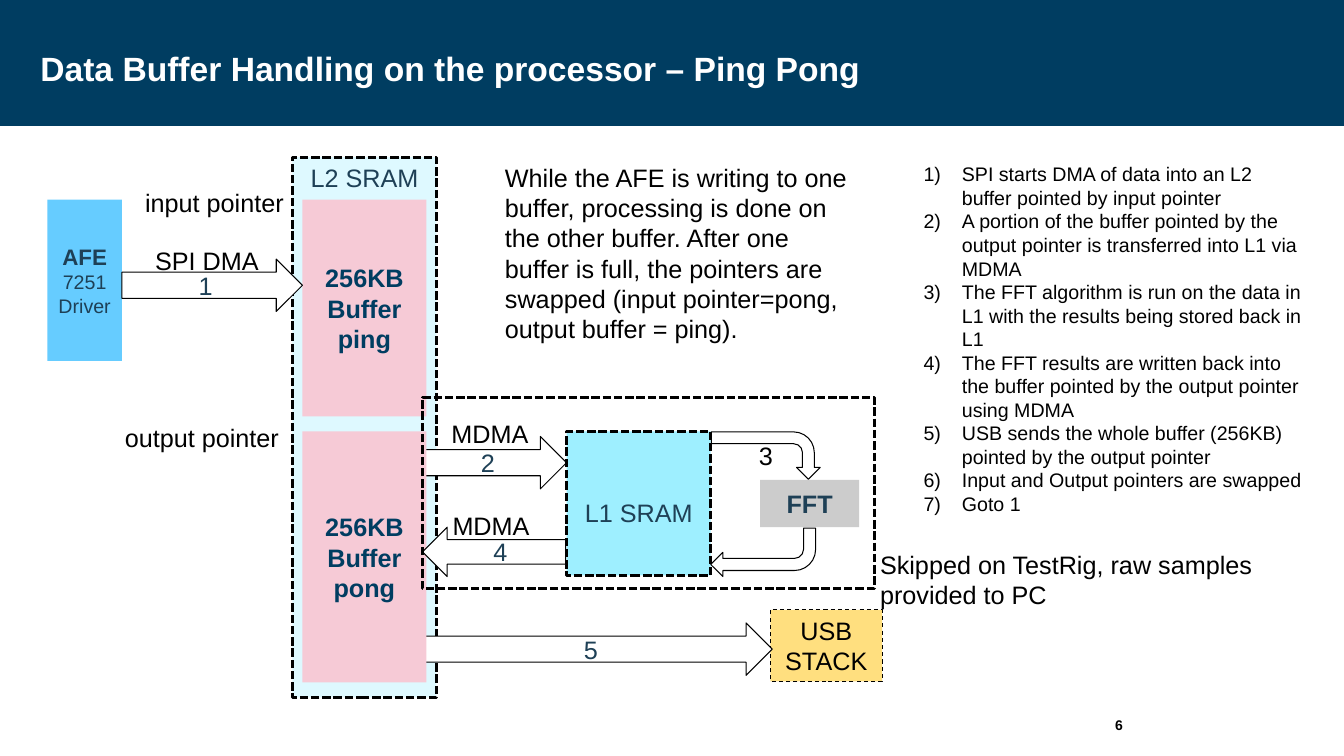
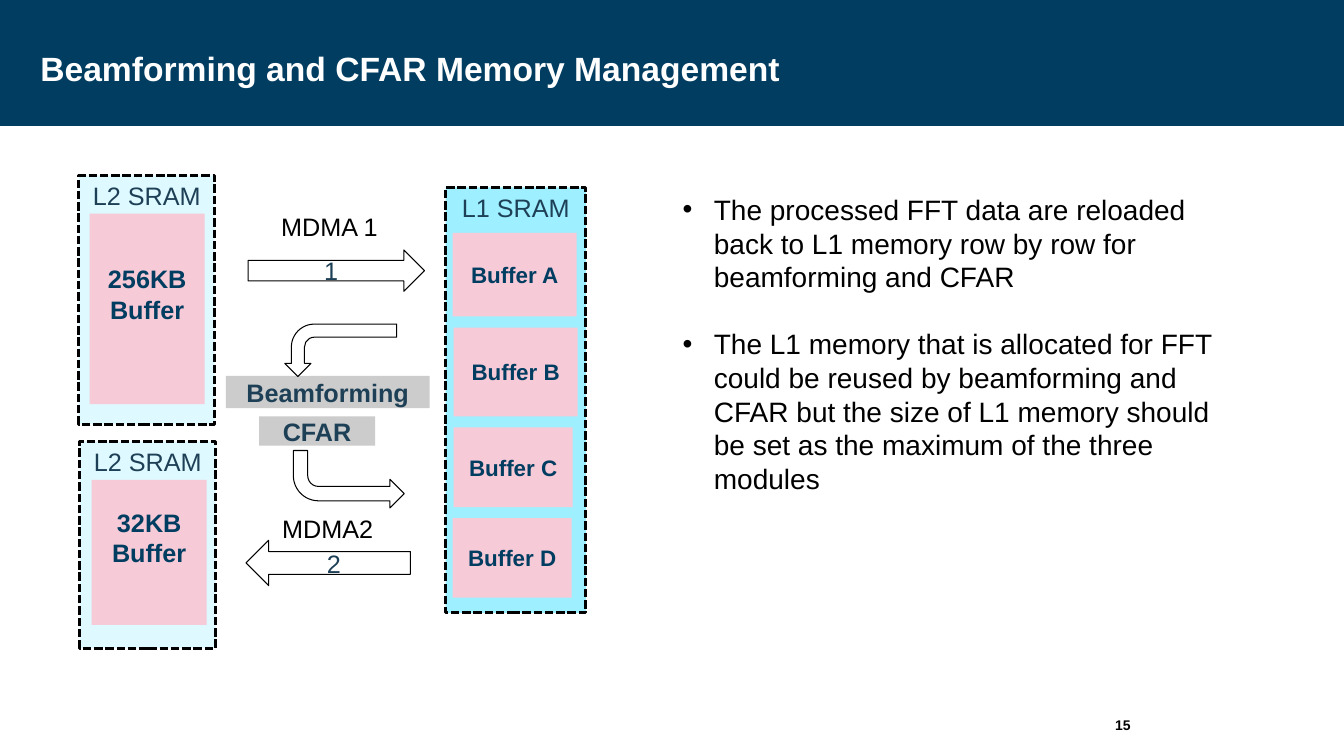
from dataclasses import dataclass

from lxml.etree import SubElement
from pptx import Presentation
from pptx.dml.color import RGBColor
from pptx.enum.dml import MSO_LINE
from pptx.enum.shapes import MSO_SHAPE
from pptx.enum.text import MSO_ANCHOR, MSO_AUTO_SIZE, PP_ALIGN
from pptx.oxml.ns import qn
from pptx.util import Inches, Pt

NAVY, SLATE, BLACK, WHITE = "003D61", "1E4056", "000000", "FFFFFF"
PINK, GREY, BLUE, GOLD = "F6CAD6", "CCCCCC", "66CCFF", "FFC000"
PALE, CYAN = "BFF5FF", "3EE0FF"

RECT, BENT = MSO_SHAPE.RECTANGLE, MSO_SHAPE.BENT_ARROW
RIGHT, LEFT = MSO_SHAPE.RIGHT_ARROW, MSO_SHAPE.LEFT_ARROW
TOP, MID, BASE = MSO_ANCHOR.TOP, MSO_ANCHOR.MIDDLE, MSO_ANCHOR.BOTTOM

Place = tuple[float, float, float, float]
PAD: Place = (0.1, 0.05, 0.1, 0.05)


@dataclass(frozen=True)
class Font:
    size: float = 18
    color: str = BLACK
    bold: bool = False


@dataclass(frozen=True)
class Edge:
    width: float
    dash: MSO_LINE | None = None


PLAIN, TAG = Font(), Font(color=SLATE)
STRONG, LABEL = Font(color=NAVY, bold=True), Font(color=SLATE, bold=True)
SMALL = Font(16, NAVY, True)
THIN, BROKEN = Edge(0.75), Edge(2, MSO_LINE.SQUARE_DOT)


@dataclass(frozen=True)
class Box:
    at: Place
    text: str = ""
    fill: str | None = None
    font: Font = PLAIN
    rest: Font | None = None  # font of the lines after the first
    kind: MSO_SHAPE = RECT
    edge: Edge | None = None
    anchor: MSO_ANCHOR = MID
    pad: Place = PAD
    clear: bool = False
    turn: int = 0
    flip: str = ""


@dataclass(frozen=True)
class Note:
    at: Place
    text: str


@dataclass(frozen=True)
class Items:
    at: Place
    lines: tuple[str, ...]
    size: float
    indent: float
    bullet: tuple[str, str, str]  # tag, attribute, value
    gap: float = 0


@dataclass(frozen=True)
class Page:
    title: str
    number: str
    items: Items
    blocks: tuple[Box | Note, ...]


def paint(fill, color: str, clear: bool = False) -> None:
    """Fill with a solid colour, half transparent if clear."""
    fill.solid()
    fill.fore_color.rgb = RGBColor.from_string(color)
    if clear:
        node = fill._xPr.find(qn("a:solidFill"))[0]
        SubElement(node, qn("a:alpha")).set("val", "50000")


def move(shape, at: Place) -> None:
    for name, value in zip(("left", "top", "width", "height"), at):
        setattr(shape, name, Inches(value))


def frame(shape, anchor: MSO_ANCHOR, pad: Place = PAD):
    text = shape.text_frame
    sides = dict(zip(("left", "top", "right", "bottom"), pad))
    values = {f"margin_{side}": Inches(size) for side, size in sides.items()}
    values |= {"word_wrap": True, "auto_size": MSO_AUTO_SIZE.NONE, "vertical_anchor": anchor}
    for name, value in values.items():
        setattr(text, name, value)
    return text


def write(text, lines: list[str], font: Font, align: PP_ALIGN, rest: Font | None = None) -> None:
    """Write one paragraph for each line."""
    for index, line in enumerate(lines):
        para = text.paragraphs[0] if index == 0 else text.add_paragraph()
        para.alignment = align
        style = rest if rest and index else font
        run = para.add_run()
        run.text = line
        values = {"name": "Arial", "size": Pt(style.size), "bold": style.bold}
        for name, value in values.items():
            setattr(run.font, name, value)
        paint(run.font.fill, style.color)


def draw(slide, box: Box) -> None:
    shape = slide.shapes.add_shape(box.kind, *map(Inches, box.at))
    shape.shadow.inherit = False
    shape.rotation = box.turn
    for axis in box.flip:
        shape._element.spPr.xfrm.set(f"flip{axis}", "1")
    if box.fill:
        paint(shape.fill, box.fill, box.clear)
    else:
        shape.fill.background()
    if box.edge:
        paint(shape.line.fill, BLACK)
        shape.line.width = Pt(box.edge.width)
        shape.line.dash_style = box.edge.dash
    else:
        shape.line.fill.background()
    if box.text:
        text = frame(shape, box.anchor, box.pad)
        write(text, box.text.split("\n"), box.font, PP_ALIGN.CENTER, box.rest)
        if box.turn:
            text._txBody.bodyPr.set("vert", "vert270")


def label(slide, at: Place, line: str, font: Font = PLAIN,
          anchor: MSO_ANCHOR = TOP, pad: Place = PAD) -> None:
    shape = slide.shapes.add_textbox(*map(Inches, at))
    write(frame(shape, anchor, pad), [line], font, PP_ALIGN.LEFT)


def enlist(shape, items: Items) -> None:
    """Fill the body placeholder with a bulleted or numbered list."""
    move(shape, items.at)
    text = frame(shape, TOP)
    write(text, list(items.lines), Font(items.size), PP_ALIGN.LEFT)
    tag, name, value = items.bullet
    for index, para in enumerate(text.paragraphs):
        para.space_before = Pt(items.gap if index else 0)
        para.space_after = Pt(0)
        props = para._p.get_or_add_pPr()
        props.set("marL", str(Inches(items.indent)))
        props.set("indent", str(-Inches(items.indent)))
        SubElement(props, qn("a:buFont")).set("typeface", "Arial")
        SubElement(props, qn(tag)).set(name, value)


def build(deck, page: Page) -> None:
    slide = deck.slides.add_slide(deck.slide_layouts[1])
    title, body = slide.placeholders
    move(title, (0, 0, 13.33, 1.25))
    paint(title.fill, NAVY)
    text = frame(title, MID, (0.4, 0.2, 0.4, 0.1))
    write(text, [page.title], Font(24, WHITE, True), PP_ALIGN.LEFT)
    enlist(body, page.items)
    for block in page.blocks:
        if isinstance(block, Box):
            draw(slide, block)
        else:
            label(slide, block.at, block.text)
    label(slide, (11.06, 6.92, 1.82, 0.36), page.number, Font(10, BLACK, True), BASE, (0, 0, 0, 0))


def arrow(at: Place, text: str = "", kind: MSO_SHAPE = RIGHT, turn: int = 0,
          flip: str = "", font: Font = TAG) -> Box:
    return Box(at, text, WHITE, font, kind=kind, edge=THIN, turn=turn, flip=flip)


def bank(at: Place, text: str, fill: str = PALE, drop: float = 0.05) -> Box:
    """Dashed memory block, its name set drop inches below the top."""
    return Box(at, text, fill, TAG, edge=BROKEN, anchor=TOP, pad=(0.1, drop, 0.1, 0.05), clear=True)


def store(at: Place, text: str, font: Font = STRONG, lift: float = 0.05) -> Box:
    """Pink buffer, its text raised by a larger lower inset."""
    return Box(at, text, PINK, font, pad=(0.1, 0.05, 0.1, lift))


PING = Page(
    "Data Buffer Handling on the processor – Ping Pong", "6",
    Items((9.06, 1.56, 4, 3.64), (
        "SPI starts DMA of data into an L2 buffer pointed by input pointer",
        "A portion of the buffer pointed by the output pointer is transferred into L1 via MDMA",
        "The FFT algorithm is run on the data in L1 with the results being stored back in L1",
        "The FFT results are written back into the buffer pointed by the output pointer using MDMA",
        "USB sends the whole buffer (256KB) pointed by the output pointer",
        "Input and Output pointers are swapped",
        "Goto 1",
    ), 14, 0.38, ("a:buAutoNum", "type", "arabicParenR")),
    (
        bank((2.9, 1.56, 1.43, 5.36), "L2 SRAM"),
        store((3, 1.98, 1.23, 2.15), "256KB\nBuffer\nping"),
        Box((0.47, 1.98, 0.74, 1.6), "AFE\n7251\nDriver", BLUE,
            Font(16, SLATE, True), rest=Font(14, SLATE)),
        Box((7.64, 6.05, 1.11, 0.71), "USB\nSTACK", GOLD,
            edge=Edge(0.75, MSO_LINE.DASH), clear=True),
        Box((7.54, 4.76, 0.98, 0.47), "FFT", GREY, LABEL),
        arrow((1.21, 2.57, 1.79, 0.52), "1"),
        arrow((4.19, 4.33, 1.43, 0.52), "2"),
        arrow((4.19, 6.18, 3.47, 0.52), "5"),
        store((3, 4.28, 1.23, 2.49), "256KB\nBuffer\npong"),
        Note((1.34, 1.81, 1.69, 0.4), "input pointer"),
        Note((1.14, 4.14, 1.83, 0.4), "output pointer"),
        Note((1.44, 2.38, 1.69, 0.4), "SPI DMA"),
        bank((5.62, 4.28, 1.43, 1.43), "L1 SRAM", CYAN, 0.65),
        arrow((4.19, 5.23, 1.42, 0.49), "4", LEFT),
        Note((4.38, 4.1, 1.03, 0.4), "MDMA"),
        Note((4.39, 5.01, 1.03, 0.4), "MDMA"),
        arrow((7.36, 3.98, 0.47, 1.08), "3", BENT, 90, font=PLAIN),
        arrow((7.05, 5.24, 1.04, 0.48), kind=BENT, flip="HV"),
        Note((4.91, 1.56, 3.59, 1.92),
             "While the AFE is writing to one buffer, processing is done on the other buffer. "
             "After one buffer is full, the pointers are swapped "
             "(input pointer=pong, output buffer = ping)."),
        Box((4.19, 3.94, 4.48, 1.9), edge=BROKEN),
        Note((8.63, 5.4, 4.43, 0.71), "Skipped on TestRig, raw samples provided to PC"),
    ),
)

SLOTS = {
    "A": (4.49, 2.31, 1.23, 0.83),
    "B": (4.5, 3.25, 1.23, 0.88),
    "C": (4.5, 4.24, 1.18, 0.79),
    "D": (4.49, 5.14, 1.18, 0.79),
}

BEAM = Page(
    "Beamforming and CFAR Memory Management", "15",
    Items((6.67, 1.86, 5.63, 3.43), (
        "The processed FFT data are reloaded back to L1 memory row by row for beamforming and CFAR",
        "The L1 memory that is allocated for FFT could be reused by beamforming and CFAR "
        "but the size of L1 memory should be set as the maximum of the three modules",
    ), 20, 0.31, ("a:buChar", "char", "•"), 24),
    (
        bank((0.78, 1.74, 1.35, 2.47), "L2 SRAM"),
        store((0.89, 2.12, 1.14, 1.89), "256KB\nBuffer", lift=0.35),
        Box((2.24, 3.73, 2.02, 0.32), "Beamforming", GREY, LABEL),
        arrow((2.46, 2.48, 1.75, 0.41), "1"),
        bank((4.42, 1.86, 1.39, 4.22), "L1 SRAM", CYAN),
        arrow((2.44, 5.36, 1.63, 0.45), "2", LEFT),
        Note((2.69, 2.05, 1.32, 0.37), "MDMA 1"),
        Note((2.7, 5.04, 1.38, 0.37), "MDMA2"),
        *(store(at, f"Buffer {name}", SMALL) for name, at in SLOTS.items()),
        arrow((3.12, 2.92, 0.52, 1.11), kind=BENT, turn=90, flip="V"),
        arrow((2.91, 4.47, 1.1, 0.57), kind=BENT, flip="V"),
        Box((2.57, 4.13, 1.15, 0.29), "CFAR", GREY, LABEL),
        bank((0.79, 4.38, 1.35, 2.05), "L2 SRAM"),
        store((0.91, 4.76, 1.14, 1.44), "32KB\nBuffer", lift=0.35),
    ),
)


def main() -> None:
    deck = Presentation()
    deck.slide_width, deck.slide_height = Inches(13.33), Inches(7.5)
    for page in (PING, BEAM):
        build(deck, page)
    deck.save("out.pptx")


if __name__ == "__main__":
    main()
